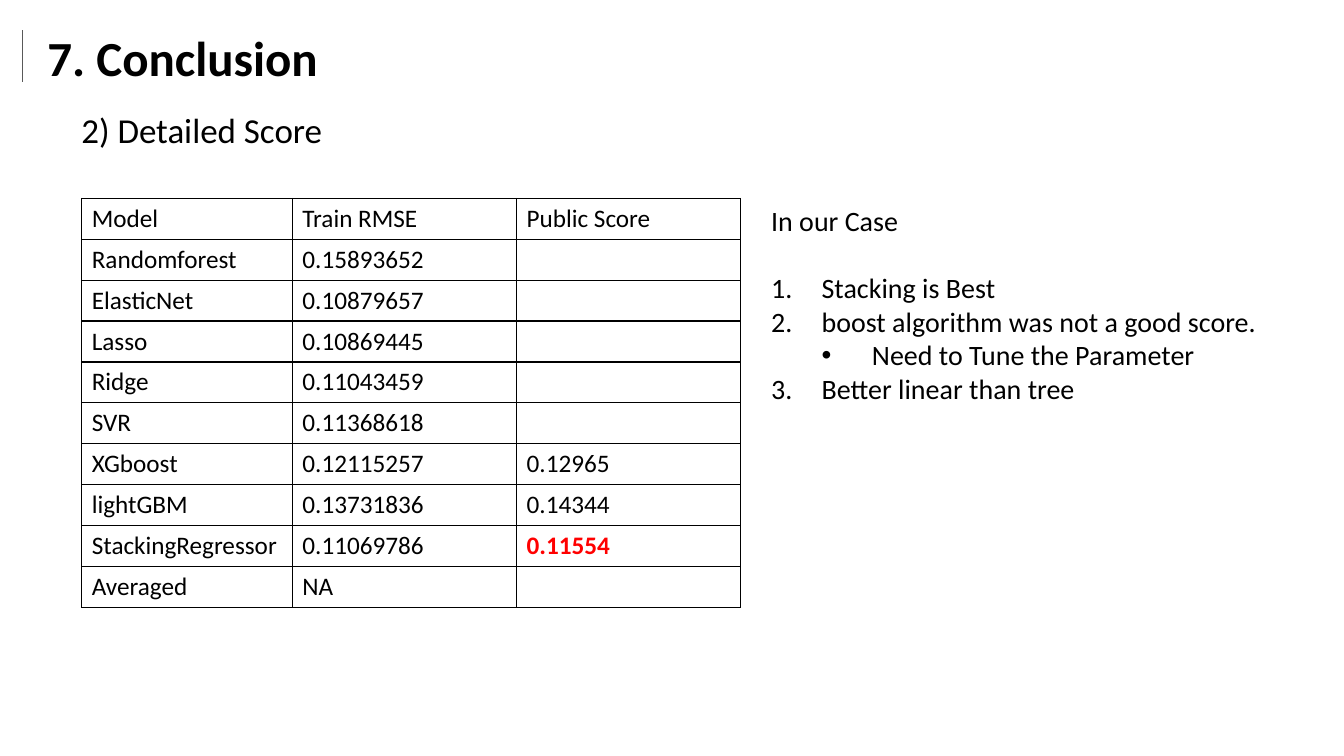
import pptx
import pptx.dml.color
import pptx.enum.shapes
import pptx.enum.text
import pptx.oxml.ns
import pptx.util
from lxml import etree

Cm = pptx.util.Cm
Pt = pptx.util.Pt
ANCHOR = pptx.enum.text.MSO_ANCHOR

FONT = "Calibri"
INKS = {"text": "000000", "best": "FF0000", "rule": "595959"}

SCORES = [
    ("Model", "Train RMSE", "Public Score"),
    ("Randomforest", "0.15893652", ""),
    ("ElasticNet", "0.10879657", ""),
    ("Lasso", "0.10869445", ""),
    ("Ridge", "0.11043459", ""),
    ("SVR", "0.11368618", ""),
    ("XGboost", "0.12115257", "0.12965"),
    ("lightGBM", "0.13731836", "0.14344"),
    ("StackingRegressor", "0.11069786", "0.11554"),
    ("Averaged", "NA", ""),
]
BEST = "0.11554"

NOTES = [
    ("In our Case", None),
    ("Stacking is Best", "1."),
    ("boost algorithm was not a good score.", "1."),
    ("Need to Tune the Parameter", "•"),
    ("Better linear than tree", "1."),
]


def ink(name):
    return pptx.dml.color.RGBColor.from_string(INKS[name])


def node(base, tag, **attrs):
    return etree.SubElement(base, pptx.oxml.ns.qn(tag), **attrs)


def add_run(para, text, size, bold=False, tint="text"):
    run = para.add_run()
    run.text = text
    run.font.name = FONT
    run.font.size = Pt(size)
    run.font.bold = bold
    run.font.color.rgb = ink(tint)


def place(shape, left, top, width, height):
    shape.left, shape.top = Cm(left), Cm(top)
    shape.width, shape.height = Cm(width), Cm(height)
    frame = shape.text_frame
    frame.word_wrap = True
    frame.auto_size = pptx.enum.text.MSO_AUTO_SIZE.NONE
    frame.vertical_anchor = ANCHOR.TOP
    return frame


def add_head(slide):
    frame = place(slide.shapes.title, 0.94, 0.56, 20, 1.75)
    para = frame.paragraphs[0]
    para.alignment = pptx.enum.text.PP_ALIGN.LEFT
    add_run(para, "7. Conclusion", 35, bold=True)


def add_sub(slide):
    box = slide.shapes.add_textbox(0, 0, 0, 0)
    frame = place(box, 1.8, 2.62, 28.58, 2.39)
    add_run(frame.paragraphs[0], "2) Detailed Score", 25)


def add_rule(slide):
    kind = pptx.enum.shapes.MSO_CONNECTOR.STRAIGHT
    rule = slide.shapes.add_connector(
        kind, Cm(0.56), Cm(0.76), Cm(0.56), Cm(2.06))
    rule.line.color.rgb = ink("rule")
    rule.line.width = Pt(0.25)
    node(rule._element.spPr, "a:effectLst")


def frame_cell(cell):
    props = cell._tc.get_or_add_tcPr()
    for side in ("a:lnL", "a:lnR", "a:lnT", "a:lnB"):
        line = node(props, side, w=str(Pt(1)))
        fill = node(line, "a:solidFill")
        node(fill, "a:srgbClr", val=INKS["text"])
    cell.fill.background()


def add_grid(slide):
    shape = slide.shapes.add_table(
        len(SCORES), 3, Cm(2.06), Cm(5), Cm(16.61), Cm(10.3))
    grid = shape.table
    grid.first_row = False
    grid.horz_banding = False
    for col, width in zip(grid.columns, (5.31, 5.65, 5.65)):
        col.width = Cm(width)
    for row, texts in zip(grid.rows, SCORES):
        row.height = Cm(1.03)
        for cell, text in zip(row.cells, texts):
            frame_cell(cell)
            if text:
                best = text == BEST
                add_run(cell.text_frame.paragraphs[0], text, 18,
                        bold=best, tint="best" if best else "text")


def mark(para, sign):
    props = para._p.get_or_add_pPr()
    step = Cm(1.27)
    depth = {None: 0, "1.": 1, "•": 2}[sign]
    props.set("marL", str(step * depth))
    props.set("indent", str(-step if sign else 0))
    if sign == "1.":
        node(props, "a:buFont", typeface="+mj-lt")
        node(props, "a:buAutoNum", type="arabicPeriod")
    elif sign:
        para.level = 1
        node(props, "a:buFont", typeface="Arial")
        node(props, "a:buChar", char=sign)
    else:
        node(props, "a:buNone")


def add_notes(slide):
    frame = place(slide.placeholders[1], 19.18, 5, 14.35, 5.38)
    for spot, (text, sign) in enumerate(NOTES):
        para = frame.add_paragraph() if spot else frame.paragraphs[0]
        para.space_before = Pt(0)
        para.space_after = Pt(0 if sign else 24)
        mark(para, sign)
        add_run(para, text, 20)


def main():
    deck = pptx.Presentation()
    deck.slide_width, deck.slide_height = Cm(33.87), Cm(19.05)
    slide = deck.slides.add_slide(deck.slide_layouts[1])
    add_head(slide)
    add_rule(slide)
    add_sub(slide)
    add_grid(slide)
    add_notes(slide)
    deck.save("out.pptx")


if __name__ == "__main__":
    main()
